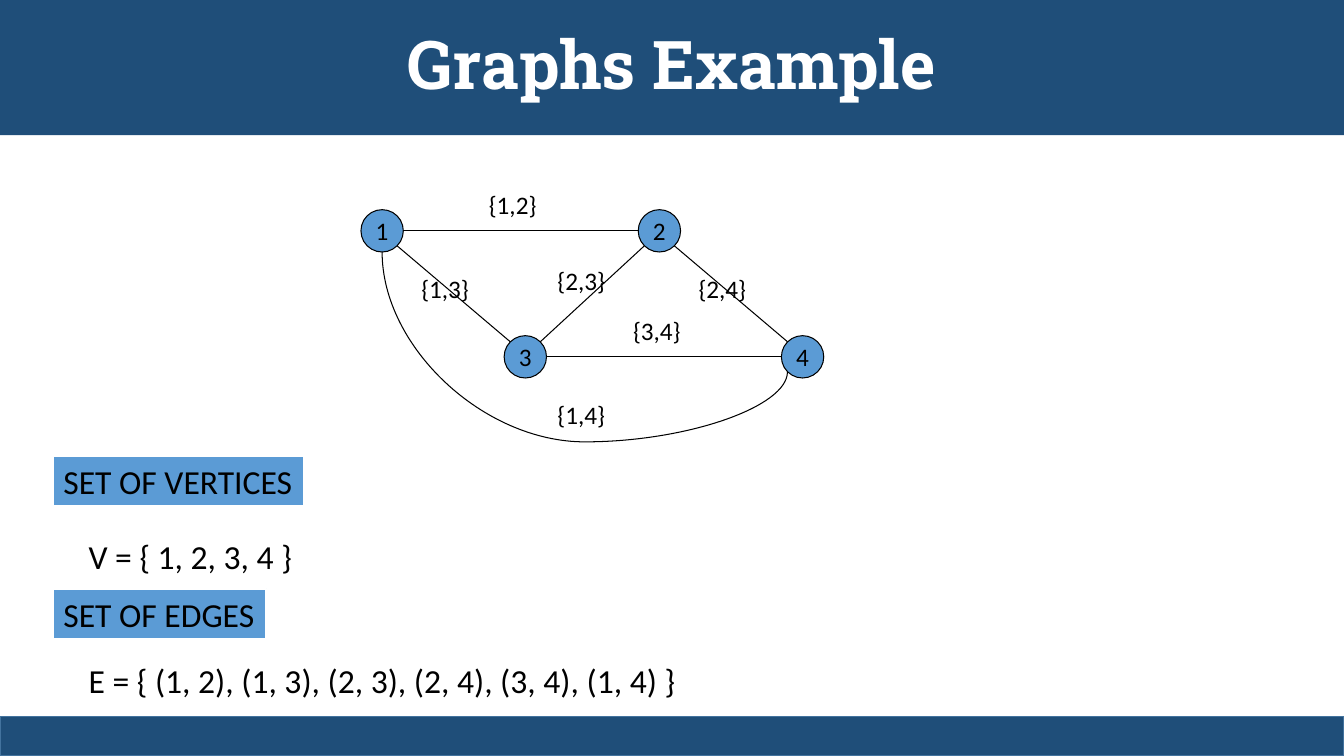
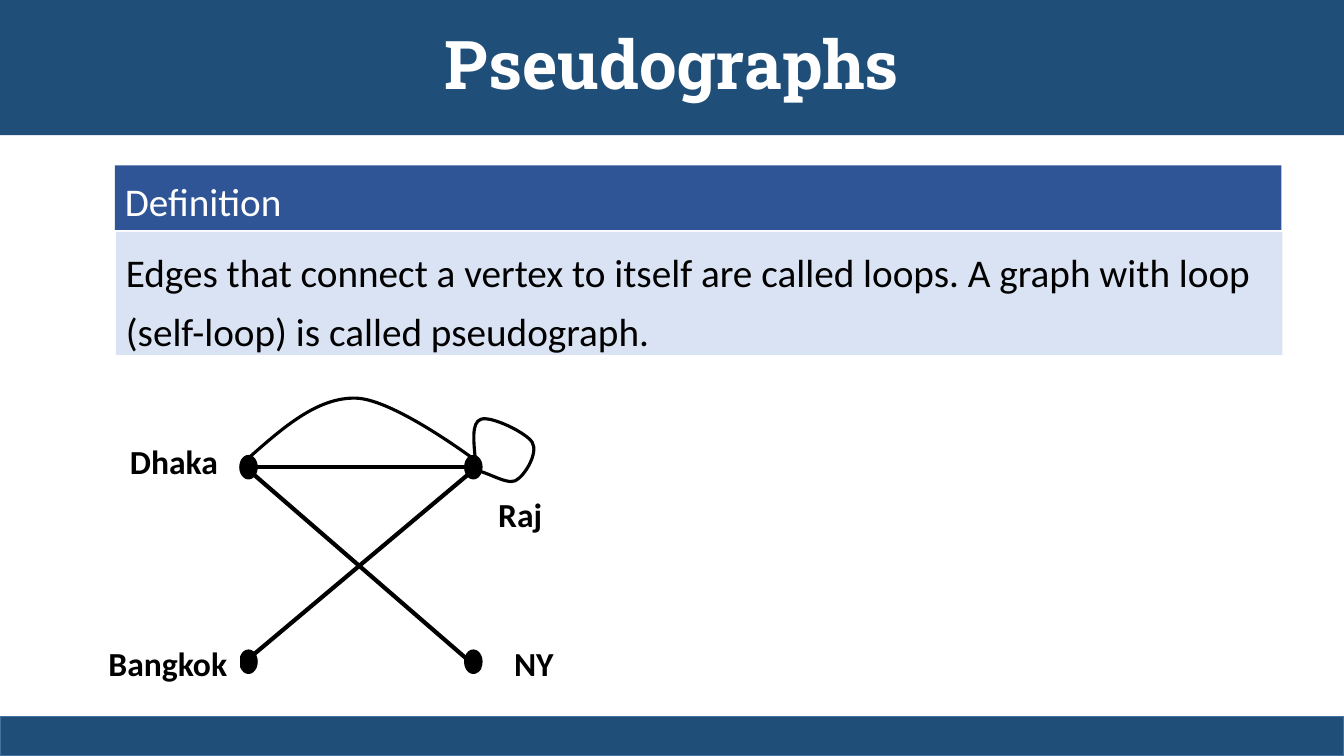
"""Build two slides on graphs, with drawn vertices and edges."""
import dataclasses
import typing

import lxml.etree
import pptx
import pptx.dml.color
import pptx.enum.shapes
import pptx.enum.text
import pptx.oxml.ns
import pptx.util

SCALE = 9144
KIND = pptx.enum.shapes.MSO_SHAPE
LINK = pptx.enum.shapes.MSO_CONNECTOR
ALIGN = pptx.enum.text.PP_ALIGN
ANCHOR = pptx.enum.text.MSO_ANCHOR
FIT = pptx.enum.text.MSO_AUTO_SIZE


@dataclasses.dataclass(frozen=True)
class Theme:
    band: str = "1F4E79"
    rim: str = "43739E"
    blue: str = "5B9BD5"
    head: str = "2F5597"
    pale: str = "DAE3F3"
    ink: str = "000000"
    paper: str = "FFFFFF"
    title_font: str = "Roboto Slab"
    font: str = "Calibri"
    title: int = 48
    large: int = 28
    body: int = 24
    small: int = 18


THEME = Theme()


class Box(typing.NamedTuple):
    left: int
    top: int
    width: int
    height: int


class Node(typing.NamedTuple):
    x: int
    y: int


class Edge(typing.NamedTuple):
    start: int
    end: int
    label: Node


class Tag(typing.NamedTuple):
    text: str
    box: Box


class Line(typing.NamedTuple):
    start: Node
    end: Node


RADIUS = 21
NODES = {1: Node(379, 229), 2: Node(654, 229), 3: Node(521, 354), 4: Node(796, 354)}
EDGES = [
    Edge(1, 2, Node(475, 183)),
    Edge(1, 3, Node(408, 266)),
    Edge(2, 4, Node(683, 266)),
    Edge(3, 4, Node(618, 308)),
    Edge(3, 2, Node(543, 258)),
]
ARC_LABEL = Node(543, 391)
HEADS = [
    Tag("SET OF VERTICES", Box(53, 452, 249, 50)),
    Tag("SET OF EDGES", Box(53, 584, 211, 50)),
]
SETS = [
    (Tag("V = { 1, 2, 3, 4 }", Box(78, 511, 223, 67)), 1.4),
    (Tag("E = { (1, 2), (1, 3), (2, 3), (2, 4), (3, 4), (1, 4) }", Box(78, 638, 606, 58)), 1.3),
]
CITIES = [
    Tag("Dhaka", Box(115, 436, 115, 42)),
    Tag("Raj", Box(472, 489, 88, 42)),
    Tag("Bangkok", Box(95, 637, 143, 42)),
    Tag("NY", Box(484, 637, 91, 42)),
]
DOTS = [Box(x, y, 17, 23) for x in (238, 461) for y in (452, 645)]
ROADS = [
    Line(Node(255, 463), Node(461, 463)),
    Line(Node(252, 649), Node(464, 471)),
    Line(Node(252, 471), Node(476, 665)),
]
BOW = [(247, 454), (281, 424), (315, 394), (353, 395), (392, 396), (476, 460), (476, 460)]
LOOP = [
    (472, 461), (470, 440), (467, 419), (477, 416), (486, 412), (522, 429), (528, 439),
    (534, 449), (521, 472), (511, 477), (501, 481), (481, 466), (467, 466),
]


def px(size: float) -> pptx.util.Emu:
    """Turn px into EMU."""
    return pptx.util.Emu(round(size * SCALE))


def tint(code: str) -> pptx.dml.color.RGBColor:
    """Turn a hex code into a colour."""
    return pptx.dml.color.RGBColor.from_string(code)


def write(shape, text: str, *, size: int = THEME.body, color: str = THEME.ink,
          font: str = THEME.font, bold: bool = False, align=ALIGN.LEFT,
          anchor=ANCHOR.TOP, gap: float = 1.0, wrap: bool = True, grow: bool = False) -> None:
    """Put one formatted paragraph in a shape."""
    frame = shape.text_frame
    frame.word_wrap = wrap
    frame.auto_size = FIT.SHAPE_TO_FIT_TEXT if grow else FIT.NONE
    frame.vertical_anchor = anchor
    para = frame.paragraphs[0]
    para.alignment = align
    para.line_spacing = gap
    run = para.add_run()
    run.text = text
    run.font.size = pptx.util.Pt(size)
    run.font.name = font
    run.font.bold = bold
    run.font.color.rgb = tint(color)


def stroke(shape, color: typing.Optional[str], width: float) -> None:
    """Set or clear an outline."""
    if color is None:
        shape.line.fill.background()
    else:
        shape.line.color.rgb = tint(color)
        shape.line.width = pptx.util.Pt(width)


def block(slide, kind, box: Box, fill: str, line: typing.Optional[str] = None,
          width: float = 1):
    """Draw a filled preset shape."""
    shape = slide.shapes.add_shape(kind, *map(px, box))
    shape.shadow.inherit = False
    shape.fill.solid()
    shape.fill.fore_color.rgb = tint(fill)
    stroke(shape, line, width)
    return shape


def label(slide, tag: Tag, **style) -> None:
    """Draw a text box that fits its text."""
    write(slide.shapes.add_textbox(*map(px, tag.box)), tag.text, wrap=False, grow=True, **style)


def join(slide, line: Line, width: float, kind=LINK.STRAIGHT):
    """Draw a connector between two points."""
    link = slide.shapes.add_connector(kind, *map(px, line.start + line.end))
    stroke(link, THEME.ink, width)
    lxml.etree.SubElement(link._element.spPr, pptx.oxml.ns.qn("a:effectLst"))
    return link


def curve(slide, points: list, width: float) -> None:
    """Draw a smooth open line through cubic spans."""
    pen = slide.shapes.build_freeform(*points[0], scale=float(SCALE))
    pen.add_line_segments(points[1:], close=False)
    shape = pen.convert_to_shape()
    shape.shadow.inherit = False
    shape.fill.background()
    stroke(shape, THEME.ink, width)
    trace = next(shape._element.iter(pptx.oxml.ns.qn("a:path")))
    steps = trace.findall(pptx.oxml.ns.qn("a:lnTo"))
    for first in range(0, len(steps), 3):
        span = lxml.etree.SubElement(trace, pptx.oxml.ns.qn("a:cubicBezTo"))
        for step in steps[first:first + 3]:
            span.append(step[0])
            trace.remove(step)


def rim(node: Node, toward: Node) -> Node:
    """Find the side or corner of a node that faces another."""
    dx, dy = ((b > a) - (b < a) for a, b in zip(node, toward))
    reach = round(RADIUS * (0.71 if dx and dy else 1))
    return Node(node.x + dx * reach, node.y + dy * reach)


def arc(slide) -> None:
    """Draw the curved edge that swings below the graph."""
    start = rim(NODES[4], Node(0, 999))
    end = Node(NODES[1].x, NODES[1].y + RADIUS)
    link = join(slide, Line(start, end), 0.75, LINK.CURVE)
    width, height = start.y - end.y, start.x - end.x
    link.left = px((start.x + end.x - width) / 2)
    link.top = px((start.y + end.y - height) / 2)
    link.width, link.height = px(width), px(height)
    form = link._element.spPr.find(pptx.oxml.ns.qn("a:xfrm"))
    form.attrib.pop("flipH", None)
    form.set("rot", "16200000")
    form.set("flipV", "1")
    shape = link._element.spPr.find(pptx.oxml.ns.qn("a:prstGeom"))
    guides = shape.find(pptx.oxml.ns.qn("a:avLst"))
    lxml.etree.SubElement(guides, pptx.oxml.ns.qn("a:gd"), name="adj1", fmla="val -58300")


def begin(deck, title: str):
    """Add a slide with its title band and foot bar."""
    slide = deck.slides.add_slide(deck.slide_layouts[5])
    band = slide.shapes.title
    band.left, band.top, band.width, band.height = map(px, Box(0, 0, 1333, 134))
    band.fill.solid()
    band.fill.fore_color.rgb = tint(THEME.band)
    write(band, title, size=THEME.title, color=THEME.paper, font=THEME.title_font,
          bold=True, align=ALIGN.CENTER, anchor=ANCHOR.MIDDLE, gap=0.9)
    block(slide, KIND.RECTANGLE, Box(0, 711, 1333, 39), THEME.band, THEME.rim)
    return slide


def graph(deck) -> None:
    """Draw the graph with its vertex and edge sets."""
    slide = begin(deck, "Graphs Example")
    for name, node in NODES.items():
        box = Box(node.x - RADIUS, node.y - RADIUS, 2 * RADIUS, 2 * RADIUS)
        disc = block(slide, KIND.OVAL, box, THEME.blue, THEME.ink, 0.75)
        write(disc, str(name), size=THEME.small, align=ALIGN.CENTER,
              anchor=ANCHOR.MIDDLE, wrap=False)
    arc(slide)
    notes = [("{1,4}", ARC_LABEL)]
    for edge in EDGES:
        a, b = NODES[edge.start], NODES[edge.end]
        join(slide, Line(rim(a, b), rim(b, a)), 0.75)
        low, high = sorted((edge.start, edge.end))
        notes.append((f"{{{low},{high}}}", edge.label))
    for text, spot in notes:
        label(slide, Tag(text, Box(spot.x, spot.y, 68, 40)), size=THEME.small)
    for tag in HEADS:
        shape = block(slide, KIND.RECTANGLE, tag.box, THEME.blue, THEME.paper, 1.5)
        write(shape, tag.text, wrap=False, grow=True)
    for tag, gap in SETS:
        label(slide, tag, gap=gap)


def pseudo(deck) -> None:
    """Draw the definition and the graph with a loop."""
    slide = begin(deck, "Pseudographs")
    head = block(slide, KIND.RECTANGLE, Box(114, 164, 1157, 64), THEME.head)
    write(head, "Definition", size=THEME.large, color=THEME.paper, gap=1.14)
    body = block(slide, KIND.RECTANGLE, Box(115, 230, 1157, 122), THEME.pale)
    write(body, "Edges that connect a vertex to itself are called loops. "
          "A graph with loop (self-loop) is called pseudograph.", size=THEME.large, gap=1.25)
    for dot in DOTS:
        block(slide, KIND.FLOWCHART_CONNECTOR, dot, THEME.ink, THEME.ink)
    for road in ROADS:
        join(slide, road, 3)
    for tag in CITIES:
        shape = block(slide, KIND.ROUNDED_RECTANGLE, tag.box, THEME.paper)
        write(shape, tag.text, bold=True, align=ALIGN.CENTER, anchor=ANCHOR.MIDDLE)
    for points in (BOW, LOOP):
        curve(slide, points, 2.25)


def main() -> None:
    """Build and save the deck."""
    deck = pptx.Presentation()
    deck.slide_width, deck.slide_height = px(1333), px(750)
    graph(deck)
    pseudo(deck)
    deck.save("out.pptx")


if __name__ == "__main__":
    main()
